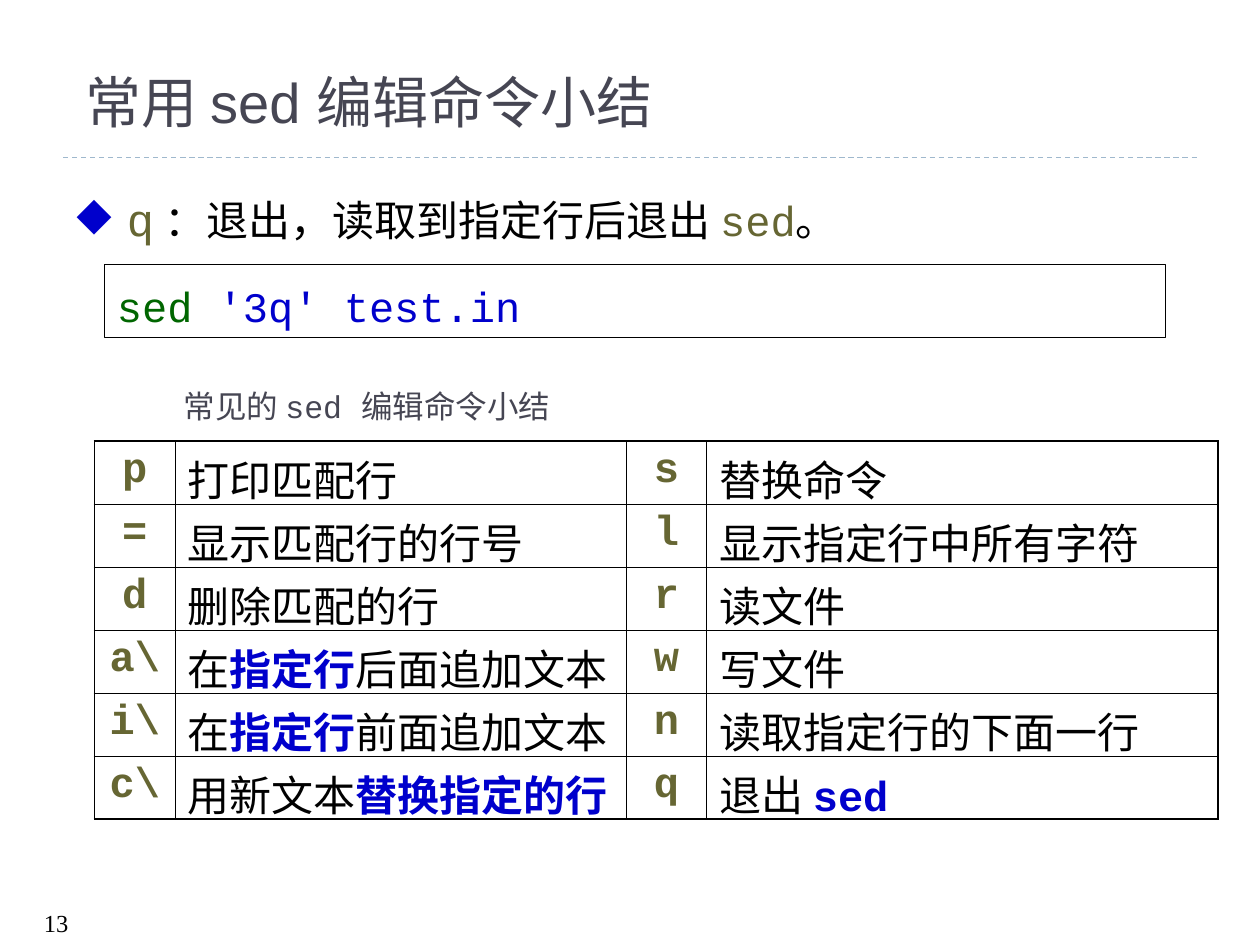
from dataclasses import dataclass

from lxml import etree
from pptx import Presentation
from pptx import util as u
from pptx.dml.color import RGBColor
from pptx.enum import dml, shapes, text
from pptx.oxml import ns


@dataclass(frozen=True)
class Theme:
    ink: str = "000000"
    head: str = "464653"
    blue: str = "0000CC"
    green: str = "006600"
    olive: str = "666633"
    rule: str = "9FB8CD"
    sans: str = "Arial"
    narrow: str = "Arial Narrow"
    serif: str = "Times New Roman"
    mono: str = "Courier New"
    title: int = 32
    key: int = 26
    body: int = 24
    label: int = 18
    small: int = 14
    thin: float = 0.45
    edge: float = 1.08
    line: float = 0.74


T = Theme()


def add(root, tag, **attrs):
    return etree.SubElement(root, ns.qn(tag), attrs)


def style(font, size=None, face=None, color=None, bold=None):
    if size:
        font.size = u.Pt(size)
    if face:
        font.name = face
    if color:
        font.color.rgb = RGBColor.from_string(color)
    if bold is not None:
        font.bold = bold


def write(para, runs, **base):
    style(para.font, **base)
    for words, look in runs:
        run = para.add_run()
        run.text = words
        style(run.font, **look)


def inches(box):
    return [u.Inches(v) for v in box]


def put_text(slide, box, runs, anchor=text.MSO_ANCHOR.TOP, **base):
    frame = slide.shapes.add_textbox(*inches(box)).text_frame
    frame.word_wrap = True
    frame.vertical_anchor = anchor
    write(frame.paragraphs[0], runs, **base)
    return frame


def put_title(slide, box, words):
    put_text(slide, box, [(words, {})], text.MSO_ANCHOR.BOTTOM,
             size=T.title, face=T.sans, color=T.head)


def put_rule(slide, left, top, width):
    rule = slide.shapes.add_connector(
        shapes.MSO_CONNECTOR.STRAIGHT, *inches((left, top, left + width, top)))
    rule.line.color.rgb = RGBColor.from_string(T.rule)
    rule.line.width = u.Pt(T.line)
    rule.line.dash_style = dml.MSO_LINE.DASH
    add(rule._element.spPr, "a:effectLst")


def put_point(slide, box, runs):
    para = put_text(slide, box, runs, face=T.serif, color=T.ink).paragraphs[0]
    para.space_before = u.Pt(15)
    props = para._p.get_or_add_pPr()
    indent = u.Inches(0.4)
    props.set("marL", str(indent))
    props.set("indent", str(-indent))
    tint = etree.Element(ns.qn("a:buClr"))
    add(tint, "a:srgbClr", val=T.blue)
    mark = etree.Element(ns.qn("a:buChar"), char="◆")
    at = props.index(props.find(ns.qn("a:defRPr")))
    props.insert(at, tint)
    props.insert(at + 1, mark)


def put_code(slide, box, runs):
    pane = slide.shapes.add_shape(shapes.MSO_SHAPE.RECTANGLE, *inches(box))
    pane.shadow.inherit = False
    pane.fill.background()
    pane.line.color.rgb = RGBColor.from_string(T.ink)
    pane.line.width = u.Pt(T.line)
    frame = pane.text_frame
    frame.word_wrap = True
    frame.vertical_anchor = text.MSO_ANCHOR.TOP
    para = frame.paragraphs[0]
    para.alignment = text.PP_ALIGN.LEFT
    para.line_spacing = 1.2
    write(para, runs, size=T.body, face=T.mono)


def put_label(slide, box, runs):
    frame = put_text(slide, box, runs, text.MSO_ANCHOR.BOTTOM,
                     size=T.label, color=T.head)
    frame.margin_left = u.Inches(0.21)
    frame.margin_bottom = u.Inches(0.08)


def border(cell, outer):
    props = cell._tc.get_or_add_tcPr()
    for spot, (side, edge) in enumerate(outer.items()):
        width = u.Pt(T.edge if edge else T.thin)
        line = etree.Element(ns.qn("a:" + side), w=str(width))
        add(add(line, "a:solidFill"), "a:srgbClr", val=T.ink)
        props.insert(spot, line)


def put_table(slide, box, widths, rows):
    count, span = len(rows), len(widths)
    table = slide.shapes.add_table(count, span, *inches(box)).table
    table.first_row = table.horz_banding = False
    for col, width in zip(table.columns, widths):
        col.width = u.Inches(width)
    for r, row in enumerate(rows):
        table.rows[r].height = u.Inches(box[3] / count)
        for c, runs in enumerate(row):
            cell = table.cell(r, c)
            cell.fill.background()
            border(cell, {"lnL": c == 0, "lnR": c == span - 1,
                          "lnT": r == 0, "lnB": r == count - 1})
            para = cell.text_frame.paragraphs[0]
            para.space_before = u.Pt(6)
            if c % 2 == 0:
                para.alignment = text.PP_ALIGN.CENTER
                look = dict(face=T.mono, color=T.olive, bold=True)
            else:
                look = dict(face=T.serif)
            if isinstance(runs, str):
                runs = [(runs, {})]
            write(para, [(w, dict(look, size=T.body, **{}) | extra)
                         for w, extra in runs])


def build(slide):
    plain = dict(color=T.ink, bold=False)
    strong = dict(color=T.blue, bold=True)
    code = dict(size=T.body, face=T.mono, color=T.olive)
    body = dict(size=T.body)
    put_rule(slide, 0.5, 1.25, 9)
    put_title(slide, (0.58, 0.25, 9, 0.87), "常用 sed 编辑命令小结")
    put_point(slide, (0.51, 1.47, 8.9, 0.54), [
        ("q", dict(code, size=T.key)),
        (" ：退出，读取到指定行后退出 ", body),
        ("sed", code), ("。", body)])
    put_code(slide, (0.83, 2.1, 8.42, 0.58), [
        ("sed", dict(color=T.green)), (" '3q' test.in", dict(color=T.blue))])
    put_table(slide, (0.75, 3.5, 8.92, 3), (0.64, 3.58, 0.64, 4.06), [
        ("p", "打印匹配行", "s", "替换命令"),
        ("=", "显示匹配行的行号", "l", "显示指定行中所有字符"),
        ("d", "删除匹配的行", "r", "读文件"),
        ("a\\", [("在", plain), ("指定行", strong), ("后面追加文本", plain)],
         "w", "写文件"),
        ("i\\", [("在", plain), ("指定行", strong), ("前面追加文本", plain)],
         "n", "读取指定行的下面一行"),
        ("c\\", [("用新文本", plain), ("替换指定的行", strong)],
         "q", [("退出 ", plain), ("sed", dict(strong, face=T.mono))])])
    put_label(slide, (1.25, 2.75, 6.5, 0.7), [
        ("常见的 ", dict(face=T.narrow)), ("sed ", dict(face=T.mono)),
        ("编辑命令小结", dict(face=T.narrow))])
    put_text(slide, (0.25, 7.16, 2.33, 0.24), [("13", {})],
             size=T.small, face=T.serif, color=T.ink)


deck = Presentation()
deck.slide_width, deck.slide_height = u.Inches(10), u.Inches(7.5)
build(deck.slides.add_slide(deck.slide_layouts[6]))
deck.save("out.pptx")
